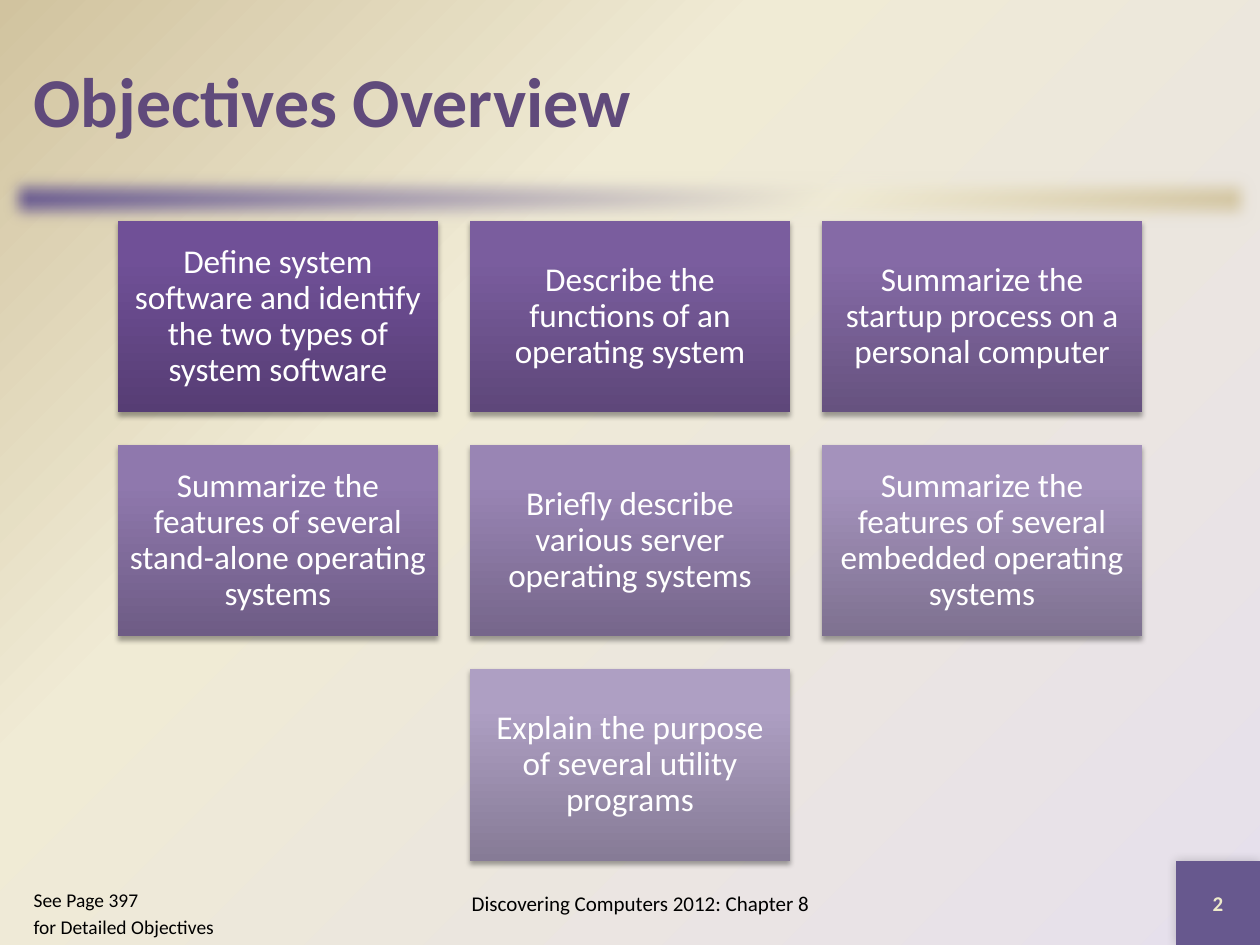
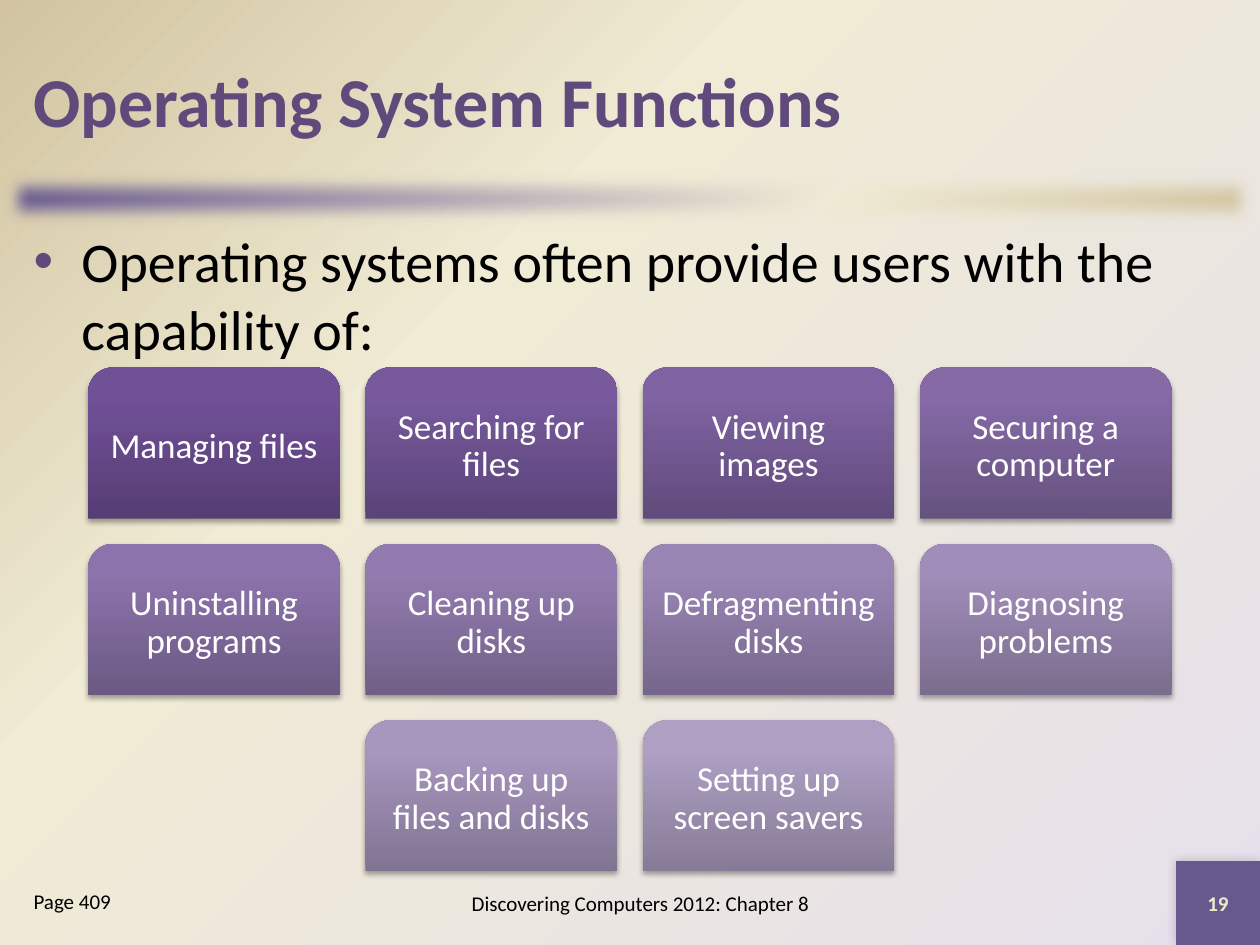
from pptx import Presentation, util as u
from pptx.dml.color import RGBColor
from pptx.enum import shapes, text
from pptx.oxml import parse_xml
from pptx.oxml.ns import nsdecls

COLUMNS, ROWS = 60, 45
FONT = "Calibri"
PURPLE, CREAM, TAN, LILAC = "67588E", "F0EBD5", "D1C39F", "E6E0EC"
HEADING, BLACK, WHITE, NUMBER = "604A7B", "000000", "FFFFFF", "EEEBCA"
# Gradient stops of the first and the last block in a set
FIRST_BLOCK = [(0, "563D74"), (80, "705097"), (100, "704F99")]
LAST_BLOCK = [(0, "867B96"), (80, "AE9FC3"), (100, "AE9FC4")]

TITLE_AREA = (1, 1, 58, 7.5)
BAND_AREA = (0, 8, 60, 3)
BODY_AREA = (1, 10.5, 58, 30.5)
CORNER_AREA = (56, 41, 4, 4)
FOOTER_AREA = (18, 41.5, 25, 3)
REFERENCE_AREA = (1, 42, 11, 3)
FOOTER = "Discovering Computers 2012: Chapter 8"


def color(value):
    return RGBColor.from_string(value)


def blend(first, last, share):
    """Mix two hex colours; a share of 0 gives the first."""
    pairs = zip(bytes.fromhex(first), bytes.fromhex(last))
    return "".join(f"{round(a + (b - a) * share):02X}" for a, b in pairs)


def element(tag, content="", **attributes):
    """Make a DrawingML element."""
    listed = " ".join(f'{name}="{value}"' for name, value in attributes.items())
    return parse_xml(f"<a:{tag} {nsdecls('a')} {listed}>{content}</a:{tag}>")


def paint_gradient(owner, fill, stops, direction):
    """Fill with (percent, colour) stops along the given direction element."""
    fill.gradient()
    gradient = owner.element.xpath(".//a:gradFill")[0]
    for child in list(gradient):
        gradient.remove(child)
    listed = "".join(
        f'<a:gs pos="{percent * 1000}"><a:srgbClr val="{value}"/></a:gs>'
        for percent, value in stops)
    gradient.append(element("gsLst", listed))
    gradient.append(direction)


def linear(degrees):
    return element("lin", ang=degrees * 60000, scaled=0)


def shadow(alpha, blur, distance, degrees):
    content = f'<a:srgbClr val="{BLACK}"><a:alpha val="{alpha * 1000}"/></a:srgbClr>'
    return element("outerShdw", content, blurRad=u.Pt(blur), dist=u.Pt(distance),
                   dir=degrees * 60000, algn="ctr", rotWithShape=0)


def write(box, lines, size, ink=BLACK, bold=False, align=text.PP_ALIGN.LEFT,
          anchor=text.MSO_ANCHOR.TOP, spacing=1, inset=None, hanging=False, bullet=None):
    frame = box.text_frame
    frame.word_wrap = True
    frame.auto_size = text.MSO_AUTO_SIZE.NONE
    frame.vertical_anchor = anchor
    if inset is not None:
        frame.margin_left = frame.margin_right = u.Inches(inset)
        frame.margin_top = frame.margin_bottom = u.Inches(inset)
    for index, line in enumerate(lines):
        para = frame.add_paragraph() if index else frame.paragraphs[0]
        if hanging:
            properties = para._p.get_or_add_pPr()
            properties.set("marL", str(u.Inches(0.38)))
            properties.set("indent", str(-u.Inches(0.38)))
            if bullet:
                properties.append(element("buClr", f'<a:srgbClr val="{HEADING}"/>'))
                properties.append(element("buFont", typeface="Arial"))
                properties.append(element("buChar", char=bullet))
            else:
                properties.append(element("buNone"))
        para.alignment = align
        para.line_spacing = spacing
        para.space_before = u.Pt(round(0.2 * size, 1) if index else 0)
        span = para.add_run()
        span.text = line
        span.font.name, span.font.size, span.font.bold = FONT, u.Pt(size), bold
        span.font.color.rgb = color(ink)


class Deck:
    def __init__(self):
        self.file = Presentation()
        self.file.slide_width, self.file.slide_height = u.Inches(10), u.Inches(7.5)
        self.page = None
        master = self.file.slide_master
        corner = element("path", '<a:fillToRect l="100000" t="100000"/>', path="circle")
        paint_gradient(master, master.background.fill,
                       [(0, LILAC), (65, CREAM), (100, TAN)], corner)

    def place(self, area):
        """Turn columns and rows into lengths."""
        x, y = self.file.slide_width / COLUMNS, self.file.slide_height / ROWS
        return [round(part * unit) for part, unit in zip(area, (x, y, x, y))]

    def move(self, box, area):
        box.left, box.top, box.width, box.height = self.place(area)
        return box

    def shape(self, area, effect, kind=shapes.MSO_SHAPE.RECTANGLE):
        shape = self.page.shapes.add_shape(kind, *self.place(area))
        shape.line.fill.background()
        shape.shadow.inherit = False
        shape.element.xpath("./p:spPr/a:effectLst")[0].append(effect)
        return shape

    def label(self, area, words, **style):
        box = self.page.shapes.add_textbox(*self.place(area))
        write(box, [words], 12, align=text.PP_ALIGN.CENTER,
              anchor=text.MSO_ANCHOR.MIDDLE, **style)

    def decorate_master(self):
        """Put the soft band and the number square behind every page."""
        band = self.shape(BAND_AREA, element("softEdge", rad=u.Pt(10)))
        paint_gradient(band, band.fill, [(0, PURPLE), (65, CREAM), (100, TAN)], linear(45))
        square = self.shape(CORNER_AREA, shadow(20, 6, 0, 225))
        square.fill.solid()
        square.fill.fore_color.rgb = color(PURPLE)
        for number, shape in enumerate((band, square), 101):
            shape.element.xpath(".//p:cNvPr")[0].set("id", str(number))
            self.file.slide_master.shapes.element.append(shape.element)

    def open_page(self, title, number, reference, reference_size=12, body=None):
        layout = self.file.slide_layouts[3 if body else 1]
        first = self.page is None
        self.page = self.file.slides.add_slide(layout)
        if first:
            self.decorate_master()
        heading, *bodies = self.page.placeholders
        write(self.move(heading, TITLE_AREA), [title], 40, HEADING, bold=True,
              anchor=text.MSO_ANCHOR.MIDDLE)
        if body:
            write(self.move(bodies[0], BODY_AREA), body, 32, hanging=True, bullet="•")
        write(self.move(bodies[-1], REFERENCE_AREA), reference, reference_size, hanging=True)
        self.label(FOOTER_AREA, FOOTER)
        self.label(CORNER_AREA, number, ink=NUMBER, bold=True)

    def blocks(self, labels, per_row, top, width, size, kind=shapes.MSO_SHAPE.RECTANGLE):
        """Lay blocks out in rows, each row centred on the page."""
        height, gap = 0.6 * width, 0.1 * width
        for index, words in enumerate(labels):
            row, column = divmod(index, per_row)
            count = min(per_row, len(labels) - row * per_row)
            left = (COLUMNS - count * (width + gap) + gap) / 2 + column * (width + gap)
            area = (left, top + row * (height + gap), width, height)
            block = self.shape(area, shadow(35, 3.1, 1.8, 90), kind)
            share = index / (len(labels) - 1)
            stops = [(percent, blend(first, last, share))
                     for (percent, first), (_, last) in zip(FIRST_BLOCK, LAST_BLOCK)]
            paint_gradient(block, block.fill, stops, linear(270))
            write(block, [words], size, WHITE, align=text.PP_ALIGN.CENTER,
                  anchor=text.MSO_ANCHOR.MIDDLE, spacing=0.9, inset=0.08)


def main():
    deck = Deck()
    deck.open_page("Objectives Overview", "2",
                   ["See Page 397", "for Detailed Objectives"], reference_size=11.1)
    deck.blocks([
        "Define system software and identify the two types of system software",
        "Describe the functions of an operating system",
        "Summarize the startup process on a personal computer",
        "Summarize the features of several stand-alone operating systems",
        "Briefly describe various server operating systems",
        "Summarize the features of several embedded operating systems",
        "Explain the purpose of several utility programs",
    ], per_row=3, top=10.5, width=15.24, size=19)

    deck.open_page("Operating System Functions", "19", ["Page 409"],
                   body=["Operating systems often provide users with the capability of:"])
    deck.blocks([
        "Managing files", "Searching for files", "Viewing images", "Securing a computer",
        "Uninstalling programs", "Cleaning up disks", "Defragmenting disks",
        "Diagnosing problems", "Backing up files and disks", "Setting up screen savers",
    ], per_row=4, top=17.5, width=12, size=20,
        kind=shapes.MSO_SHAPE.ROUND_2_SAME_RECTANGLE)
    deck.file.save("out.pptx")


if __name__ == "__main__":
    main()
